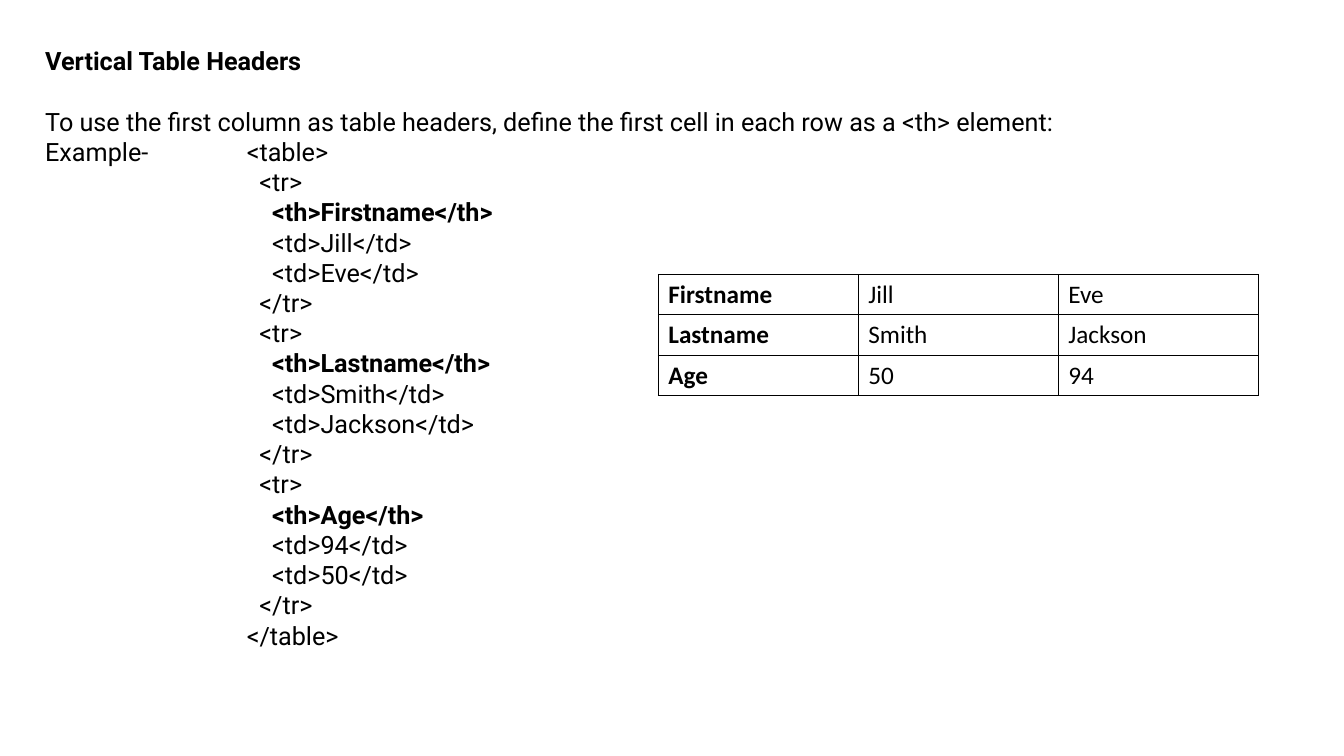
from lxml import etree
from pptx import Presentation
from pptx.dml.color import RGBColor
from pptx.enum.text import MSO_ANCHOR
from pptx.oxml.ns import qn
from pptx.util import Cm, Pt

MIDDLE = MSO_ANCHOR.MIDDLE
COLORS = {"text": "000000", "border": "000000", "page": "FFFFFF"}
TEXT_SIZE = Pt(18)
LINE_GAP = Pt(21.6)
CODE_LEFT = 5.08
CODE_STEP = 0.32

INTRO = [
    "Vertical Table Headers",
    "To use the first column as table headers, define the first cell "
    "in each row as a\u00a0<th>\u00a0element:",
    "Example-\t\t<table>",
]
CODE_ROWS = [
    ("Firstname", "Jill", "Eve"),
    ("Lastname", "Smith", "Jackson"),
    ("Age", "94", "50"),
]
TABLE_ROWS = [
    ("Firstname", "Jill", "Eve"),
    ("Lastname", "Smith", "Jackson"),
    ("Age", "50", "94"),
]


def style_paragraph(paragraph, font_name, bold=False):
    for span in paragraph.runs:
        span.font.name = font_name
        span.font.size = TEXT_SIZE
        span.font.bold = bold
        span.font.color.rgb = RGBColor.from_string(COLORS["text"])


def indent_paragraph(paragraph, depth):
    properties = paragraph._p.get_or_add_pPr()
    properties.set("marL", str(Cm(CODE_LEFT + depth * CODE_STEP)))
    properties.set("indent", "0")


def code_lines():
    lines = []
    for header, *values in CODE_ROWS:
        lines.append((1, "<tr>"))
        lines.append((2, f"<th>{header}</th>"))
        lines += [(2, f"<td>{value}</td>") for value in values]
        lines.append((1, "</tr>"))
    return lines + [(0, "</table>")]


def add_explanation(page):
    box = page.shapes.add_textbox(Cm(0.89), Cm(1.02), Cm(31.39), Cm(15.65))
    frame = box.text_frame
    frame.word_wrap = True
    code = code_lines()
    frame.text = "\n".join(INTRO + [line for _, line in code])
    heading, *body = frame.paragraphs
    style_paragraph(heading, "Roboto", bold=True)
    heading.space_after = LINE_GAP
    for paragraph in body:
        style_paragraph(paragraph, "Roboto", paragraph.text.startswith("<th>"))
    for paragraph, (depth, _) in zip(frame.paragraphs[len(INTRO):], code):
        indent_paragraph(paragraph, depth)


def add_borders(cell):
    properties = cell._tc.get_or_add_tcPr()
    for position, side in enumerate(("lnL", "lnR", "lnT", "lnB")):
        line = etree.Element(qn(f"a:{side}"), w=str(Pt(0.6)))
        fill = etree.SubElement(line, qn("a:solidFill"))
        etree.SubElement(fill, qn("a:srgbClr"), val=COLORS["border"])
        properties.insert(position, line)


def add_people_table(page):
    frame = page.shapes.add_table(
        len(TABLE_ROWS), len(TABLE_ROWS[0]), Cm(16.59), Cm(6.91), Cm(15.12), Cm(3.06)
    )
    table = frame.table
    table.first_row = False
    table.horz_banding = False
    table.first_col = True
    for row_index, values in enumerate(TABLE_ROWS):
        for column_index, value in enumerate(values):
            cell = table.cell(row_index, column_index)
            cell.text_frame.text = value
            cell.vertical_anchor = MIDDLE
            cell.fill.solid()
            cell.fill.fore_color.rgb = RGBColor.from_string(COLORS["page"])
            style_paragraph(cell.text_frame.paragraphs[0], "Calibri", column_index == 0)
            add_borders(cell)


def main():
    deck = Presentation()
    deck.slide_width = Cm(33.87)
    deck.slide_height = Cm(19.05)
    page = deck.slides.add_slide(deck.slide_layouts[6])
    add_explanation(page)
    add_people_table(page)
    deck.save("out.pptx")


if __name__ == "__main__":
    main()
